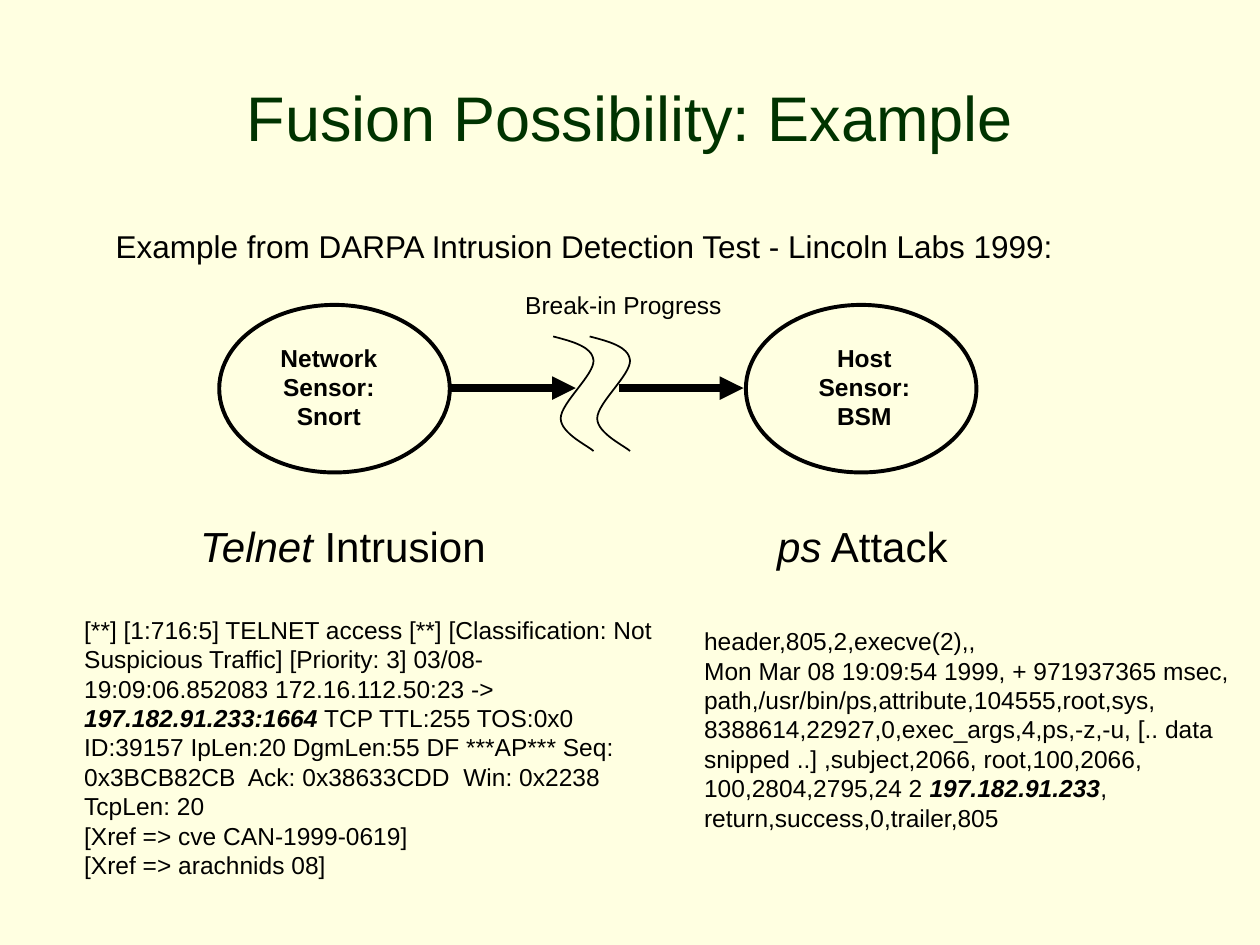
from lxml import etree
from pptx import Presentation
from pptx.dml.color import RGBColor
from pptx.enum.shapes import MSO_CONNECTOR, MSO_SHAPE
from pptx.enum.text import MSO_ANCHOR, MSO_AUTO_SIZE, PP_ALIGN
from pptx.oxml.ns import qn
from pptx.util import Inches, Pt

CREAM = RGBColor(0xFF, 0xFF, 0xE1)
DARK_GREEN = RGBColor(0x00, 0x33, 0x00)
BLACK = RGBColor(0x00, 0x00, 0x00)
FONT = "Arial"
LEFT, CENTER = PP_ALIGN.LEFT, PP_ALIGN.CENTER
MIDDLE = MSO_ANCHOR.MIDDLE
OVAL = MSO_SHAPE.OVAL
STRAIGHT = MSO_CONNECTOR.STRAIGHT
GROW = MSO_AUTO_SIZE.SHAPE_TO_FIT_TEXT
NO_AUTOFIT = MSO_AUTO_SIZE.NONE


def write_text(frame, paragraphs, size=14, color=BLACK, align=LEFT,
               bold=False, wrap=True, fit=GROW):
    """Fill a frame; each paragraph is a list of (text, style) with style letters b and i."""
    frame.word_wrap = wrap
    frame.auto_size = fit
    for index, spans in enumerate(paragraphs):
        para = frame.add_paragraph() if index else frame.paragraphs[0]
        para.alignment = align
        for text, style in spans:
            span = para.add_run()
            span.text = text
            span.font.name = FONT
            span.font.size = Pt(size)
            span.font.color.rgb = color
            span.font.bold = bold or "b" in style
            span.font.italic = "i" in style


def bezier_point(p0, p1, p2, p3, t):
    return tuple(
        Inches((1 - t) ** 3 * a + 3 * (1 - t) ** 2 * t * b + 3 * (1 - t) * t ** 2 * c + t ** 3 * d)
        for a, b, c, d in zip(p0, p1, p2, p3)
    )


deck = Presentation()
deck.slide_width, deck.slide_height = Inches(10), Inches(7.5)
page = deck.slides.add_slide(deck.slide_layouts[5])
page.background.fill.solid()
page.background.fill.fore_color.rgb = CREAM

# Title
title = page.shapes.title
title.left, title.top = Inches(0.5), Inches(0.3)
title.width, title.height = Inches(9), Inches(1.25)
title.text_frame.vertical_anchor = MIDDLE
write_text(title.text_frame, [[("Fusion Possibility: Example", "")]],
           size=36, color=DARK_GREEN, align=CENTER, fit=NO_AUTOFIT)

# Sensors
for left in (1.74, 5.92):
    sensor = page.shapes.add_shape(OVAL, Inches(left), Inches(2.42), Inches(1.83), Inches(1.33))
    sensor.shadow.inherit = False
    sensor.fill.background()
    sensor.line.color.rgb = BLACK
    sensor.line.width = Pt(2.25)

# Arrows from sensor to sensor, interrupted in the middle
for start, end in ((3.57, 4.57), (4.91, 5.9)):
    arrow = page.shapes.add_connector(STRAIGHT, Inches(start), Inches(3.08), Inches(end), Inches(3.08))
    arrow.line.color.rgb = BLACK
    arrow.line.width = Pt(4.5)
    etree.SubElement(arrow.line._get_or_add_ln(), qn("a:tailEnd"), type="triangle")
    etree.SubElement(arrow._element.spPr, qn("a:effectLst"))

# Break marks: three joined curves, drawn twice
WAVE = [(4.39, 2.67), (4.54, 2.71), (4.7, 2.75), (4.71, 2.86), (4.72, 2.97),
        (4.45, 3.2), (4.45, 3.32), (4.45, 3.44), (4.67, 3.54), (4.71, 3.58)]
STEPS = 16
for offset in (0, 0.29):
    controls = [(x + offset, y) for x, y in WAVE]
    points = [bezier_point(*controls[first:first + 4], step / STEPS)
              for first in (0, 3, 6) for step in range(1, STEPS + 1)]
    builder = page.shapes.build_freeform(Inches(controls[0][0]), Inches(controls[0][1]))
    builder.add_line_segments(points, close=False)
    wave = builder.convert_to_shape()
    wave.shadow.inherit = False
    wave.fill.background()
    wave.line.color.rgb = BLACK
    wave.line.width = Pt(1)

# Text boxes: left, top, width, height, paragraphs, format
NETWORK_LOG = [
    [("[**] [1:716:5] TELNET access [**] [Classification: Not Suspicious Traffic] "
      "[Priority: 3] 03/08-19:09:06.852083 172.16.112.50:23 -> ", ""),
     ("197.182.91.233:1664", "bi"),
     (" TCP TTL:255 TOS:0x0 ID:39157 IpLen:20 DgmLen:55 DF ***AP*** "
      "Seq: 0x3BCB82CB  Ack: 0x38633CDD  Win: 0x2238  TcpLen: 20", "")],
    [("[Xref => cve CAN-1999-0619]", "")],
    [("[Xref => arachnids 08]", "")],
]
HOST_LOG = [
    [("header,805,2,execve(2),,", "")],
    [("Mon Mar 08 19:09:54 1999, + 971937365 msec, "
      "path,/usr/bin/ps,attribute,104555,root,sys,", "")],
    [("8388614,22927,0,exec_args,4,ps,-z,-u, [.. data", "")],
    [("snipped ..] ,subject,2066, root,100,2066,", "")],
    [("100,2804,2795,24 2 ", ""), ("197.182.91.233", "bi"),
     (", return,success,0,trailer,805", "")],
]
SENSOR_LABEL = {"align": CENTER, "bold": True}
TEXT_BOXES = [
    (0.82, 1.75, 7.92, 0.4,
     [[("Example from DARPA Intrusion Detection Test - Lincoln Labs 1999:", "")]], {"size": 18}),
    (4.07, 2.25, 1.76, 0.34, [[("Break-in Progress", "")]], {"wrap": False}),
    (2.07, 2.67, 1.08, 0.8, [[("Network Sensor: Snort", "")]], SENSOR_LABEL),
    (6.32, 2.67, 1.08, 0.8, [[("Host", "")], [("Sensor:", "")], [("BSM", "")]], SENSOR_LABEL),
    (1.49, 4.08, 3.33, 0.5, [[("Telnet", "i"), (" Intrusion", "")]], {"size": 24}),
    (6.07, 4.08, 3.08, 0.5, [[("ps", "i"), (" Attack", "")]], {"size": 24}),
    (0.57, 4.83, 4.83, 2.2, NETWORK_LOG, {}),
    (5.49, 4.92, 4.67, 1.74, HOST_LOG, {}),
]
for left, top, width, height, paragraphs, text_format in TEXT_BOXES:
    box = page.shapes.add_textbox(Inches(left), Inches(top), Inches(width), Inches(height))
    write_text(box.text_frame, paragraphs, **text_format)

deck.save("out.pptx")
